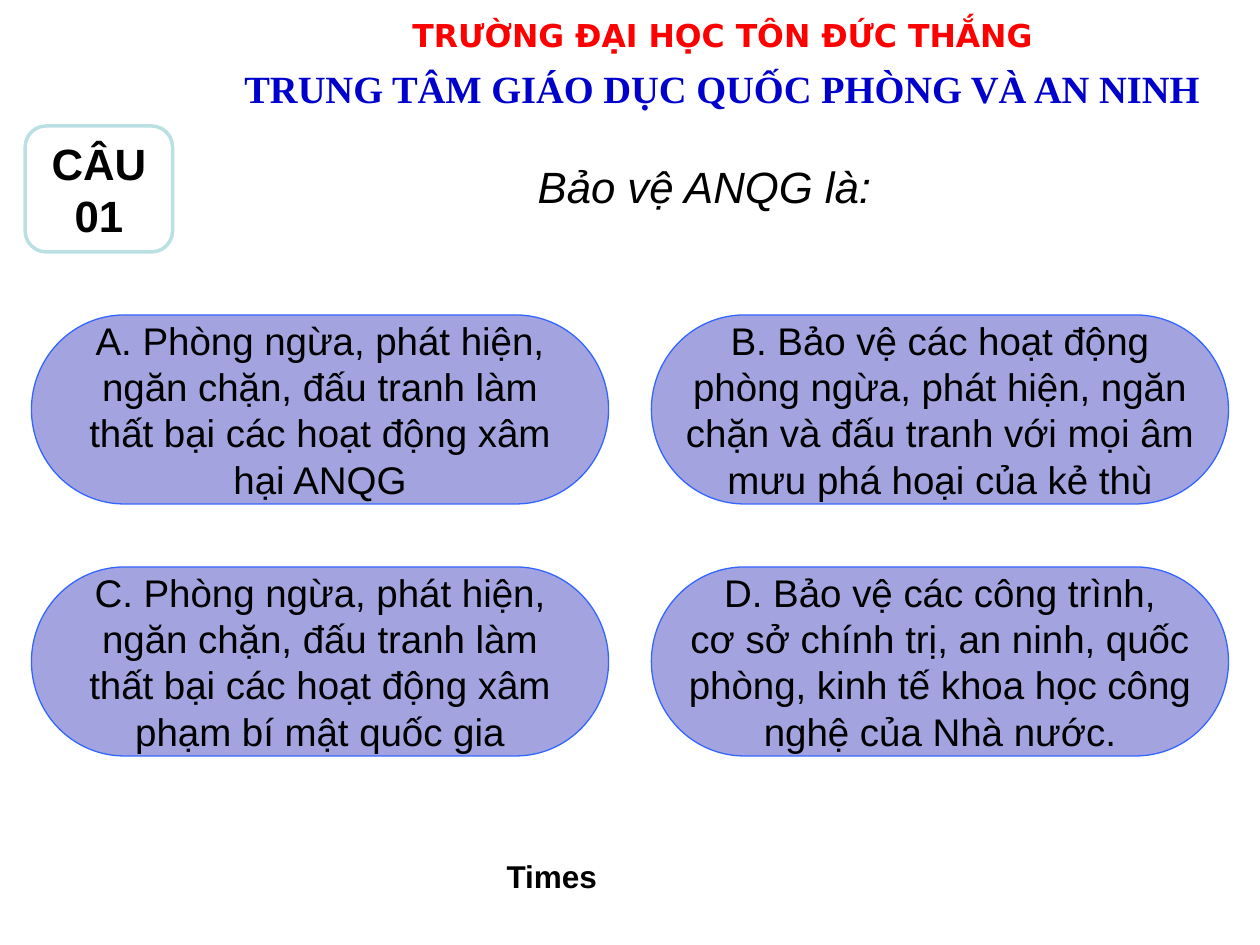
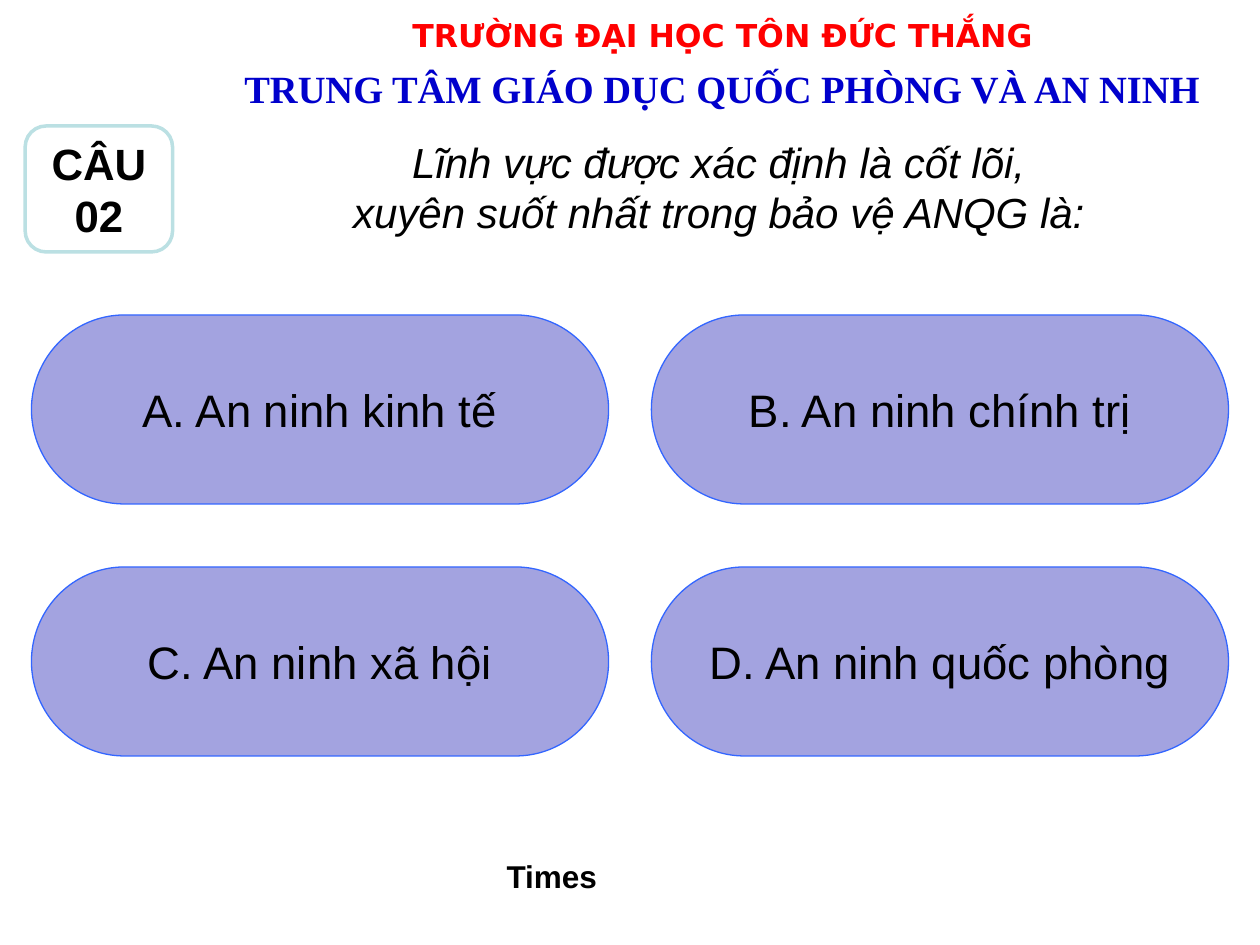
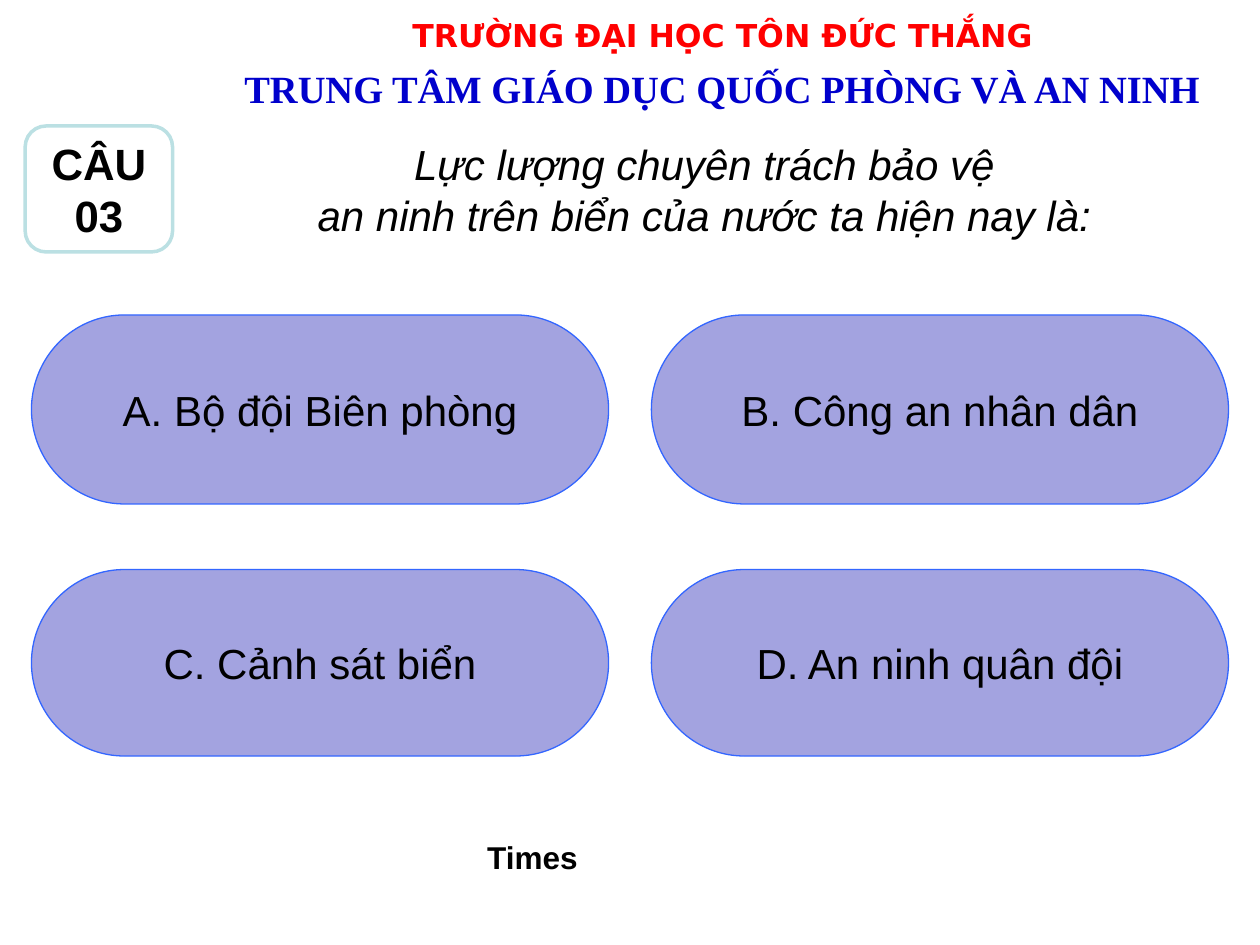
from dataclasses import dataclass

from pptx import Presentation
from pptx.dml import color
from pptx.enum import shapes, text
from pptx.util import Inches, Pt

BLACK, WHITE = "000000", "FFFFFF"
RED, BLUE = "FF0000", "0000CC"
PILL, EDGE, MINT = "A3A3E0", "3366FF", "BBE0E3"
COLS, ROW, WIDE, BASE = (0.25, 5.17), 2.5, 4.58, 6.0


@dataclass(frozen=True)
class Box:
    left: float
    top: float
    width: float
    height: float


@dataclass(frozen=True)
class Style:
    size: float
    font: str = "Arial"
    ink: str = BLACK
    bold: bool = False
    slant: bool = False


@dataclass(frozen=True)
class Label:
    words: str
    box: Box
    style: Style


@dataclass(frozen=True)
class Quiz:
    ask: str
    place: Box
    size: float
    answers: tuple[str, ...]
    pill: float
    timer: Box = Box(3.63, 6.75, 1.5, 0.4)
    low: float = 4.5


HEADS = (
    Label("TRƯỜNG ĐẠI HỌC TÔN ĐỨC THẮNG", Box(2.03, 0.08, 7.41, 0.34),
          Style(18, "DejaVu Sans", RED, bold=True)),
    Label("TRUNG TÂM GIÁO DỤC QUỐC PHÒNG VÀ AN NINH", Box(1.73, 0.47, 8, 0.32),
          Style(22, "Times New Roman", BLUE, bold=True)),
)

QUIZZES = (
    Quiz("Bảo vệ ANQG là:", Box(2.3, 1.22, 6.58, 0.52), 25, (
        "A. Phòng ngừa, phát hiện,\nngăn chặn, đấu tranh làm\n"
        "thất bại các hoạt động xâm\nhại ANQG",
        "B. Bảo vệ các hoạt động\nphòng ngừa, phát hiện, ngăn\n"
        "chặn và đấu tranh với mọi âm\nmưu phá hoại của kẻ thù",
        "C. Phòng ngừa, phát hiện,\nngăn chặn, đấu tranh làm\n"
        "thất bại các hoạt động xâm\nphạm bí mật quốc gia",
        "D. Bảo vệ các công trình,\ncơ sở chính trị, an ninh, quốc\n"
        "phòng, kinh tế khoa học công\nnghệ của Nhà nước.",
    ), 22),
    Quiz("Lĩnh vực được xác định là cốt lõi,\nxuyên suốt nhất trong bảo vệ ANQG là:",
         Box(1.67, 1.03, 8.07, 0.9), 24,
         ("A. An ninh kinh tế", "B. An ninh chính trị",
          "C. An ninh xã hội", "D. An ninh quốc phòng"), 26),
    Quiz("Lực lượng chuyên trách bảo vệ\nan ninh trên biển của nước ta hiện nay là:",
         Box(2.09, 1.05, 7, 0.9), 24,
         ("A. Bộ đội Biên phòng", "B. Công an nhân dân",
          "C. Cảnh sát biển", "D. An ninh quân đội"), 24,
         Box(3.67, 6.6, 1.11, 0.4), 4.52),
)


def rgb(code: str) -> color.RGBColor:
    """Turn a hex string into a colour."""
    return color.RGBColor.from_string(code)


def frame(box: Box) -> tuple:
    """Give the box as four lengths."""
    return tuple(Inches(n) for n in (box.left, box.top, box.width, box.height))


def write(shape, words: str, style: Style, wrap: bool = False, mid: bool = False) -> None:
    """Fill a shape with centred lines of text."""
    body = shape.text_frame
    body.word_wrap = wrap
    body.auto_size = text.MSO_AUTO_SIZE.NONE
    body.vertical_anchor = text.MSO_ANCHOR.MIDDLE if mid else text.MSO_ANCHOR.TOP
    for i, line in enumerate(words.split("\n")):
        para = body.add_paragraph() if i else body.paragraphs[0]
        para.alignment = text.PP_ALIGN.CENTER
        run = para.add_run()
        run.text = line
        font = run.font
        font.name, font.size = style.font, Pt(style.size)
        font.bold, font.italic = style.bold, style.slant
        font.color.rgb = rgb(style.ink)


def label(slide, item: Label, wrap: bool = False) -> None:
    """Add a text box."""
    write(slide.shapes.add_textbox(*frame(item.box)), item.words, item.style, wrap)


def panel(slide, kind, item: Label, fill: str, edge: str, width: float) -> None:
    """Add a filled, outlined shape with text in its middle."""
    shape = slide.shapes.add_shape(kind, *frame(item.box))
    shape.shadow.inherit = False
    shape.fill.solid()
    shape.fill.fore_color.rgb = rgb(fill)
    shape.line.color.rgb = rgb(edge)
    shape.line.width = Pt(width)
    write(shape, item.words, item.style, mid=True)


def build(deck, quiz: Quiz, num: int) -> None:
    """Draw one question slide."""
    slide = deck.slides.add_slide(deck.slide_layouts[5])
    for head in HEADS:
        label(slide, head)
    title = slide.shapes.title
    title.left, title.top, title.width, title.height = frame(quiz.place)
    write(title, quiz.ask, Style(quiz.size, slant=True), wrap=True)
    for i, words in enumerate(quiz.answers):
        row, col = divmod(i, 2)
        top, tall = (quiz.low, BASE - quiz.low) if row else (ROW, 1.5)
        box = Box(COLS[col], top, WIDE, tall)
        panel(slide, shapes.MSO_SHAPE.FLOWCHART_TERMINATOR,
              Label(words, box, Style(quiz.pill)), PILL, EDGE, 0.75)
    label(slide, Label("Times", quiz.timer, Style(18, bold=True)), wrap=True)
    badge = Label(f"CÂU\n{num:02}", Box(0.2, 1, 1.17, 1), Style(25, bold=True))
    panel(slide, shapes.MSO_SHAPE.ROUNDED_RECTANGLE, badge, WHITE, MINT, 2)


def main() -> None:
    """Build and save the deck."""
    deck = Presentation()
    deck.slide_width, deck.slide_height = Inches(10), Inches(7.5)
    for num, quiz in enumerate(QUIZZES, 1):
        build(deck, quiz, num)
    deck.save("out.pptx")


if __name__ == "__main__":
    main()
